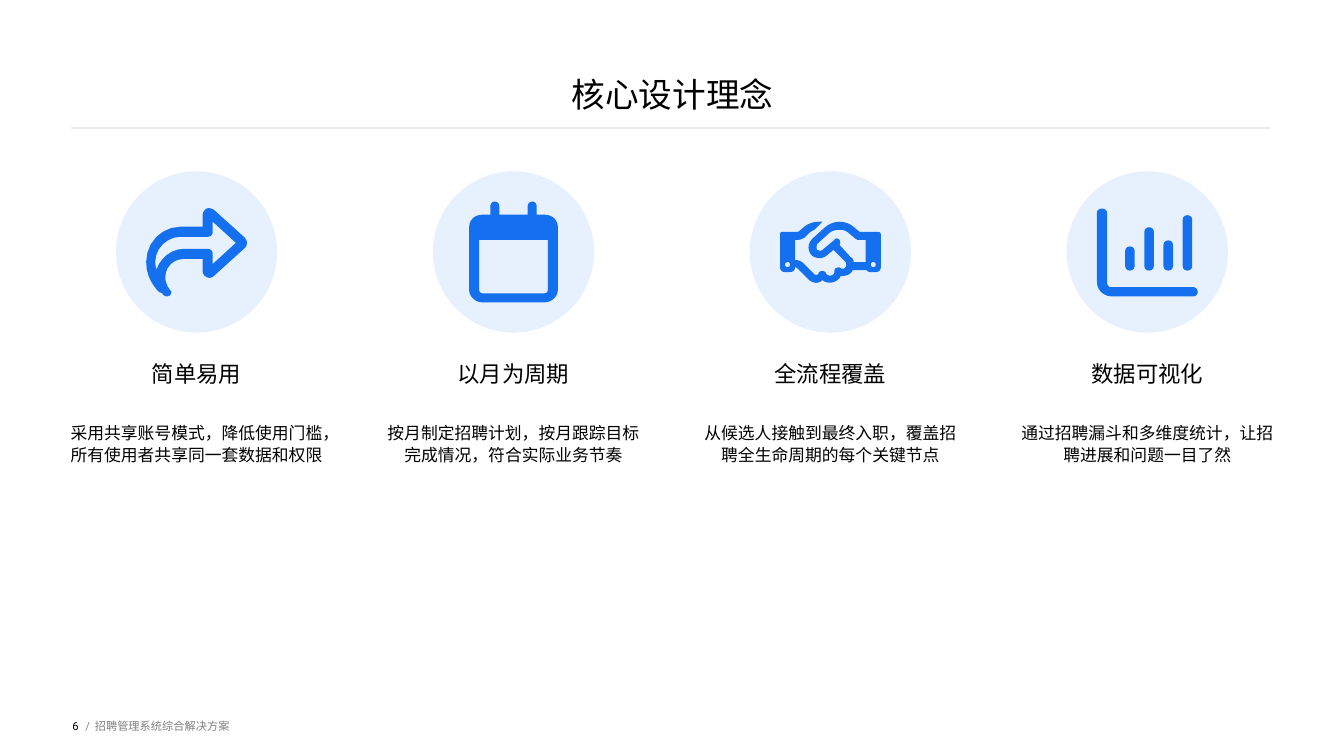
from dataclasses import dataclass

from lxml.etree import SubElement as Sub
from pptx import Presentation
from pptx.dml.color import RGBColor as Color
from pptx.enum.shapes import MSO_CONNECTOR as Link, MSO_SHAPE as Shape
from pptx.enum.text import MSO_ANCHOR as Anchor, PP_ALIGN as Align
from pptx.oxml.ns import qn
from pptx.util import Inches, Pt


@dataclass(frozen=True)
class Theme:
    """Colours, font and type sizes of the slide."""
    font: str = "Roboto"
    ink: str = "000000"
    grey: str = "808080"
    blue: str = "1570EF"
    rule: str = "EAECF0"
    title: int = 24
    head: int = 16
    body: int = 12
    foot: int = 8


BEND = """
M 56 47 L 37 47 C 25 47 14 56 10 68 C 10 66 9 63 9 60 C 9 46 21 35 34 35
L 61 35 C 64 35 66 33 66 30 L 66 20 L 89 41 L 66 62 L 66 52 C 66 49 64 47 61 47
"""
ARROW = """
M 56 57 L 56 69 C 56 72 58 74 60 75 C 62 76 65 76 67 74 L 98 46
C 99 45 100 43 100 41 C 100 39 99 38 98 36 L 67 8 C 65 7 62 6 60 7
C 58 8 56 11 56 13 L 56 25 L 34 25 C 15 25 0 41 0 60 C 0 75 8 85 13 90
C 14 90 15 91 16 91 C 16 92 17 92 17 93 C 18 93 19 94 20 94 L 21 94
C 23 94 25 92 25 90 C 25 89 24 88 23 87 C 23 86 22 86 22 85
C 21 84 21 84 21 83 C 20 81 19 79 19 75 C 19 65 27 57 37 57
"""
MONTH = """
M 36 5 C 36 2 34 0 31 0 C 29 0 27 2 27 5 L 27 13 L 19 13 C 12 13 6 18 6 25
L 6 88 C 6 94 12 100 19 100 L 81 100 C 88 100 94 94 94 88 L 94 25
C 94 18 88 13 81 13 L 73 13 L 73 5 C 73 2 71 0 69 0 C 66 0 64 2 64 5
L 64 13 L 36 13
M 16 38 L 84 38 L 84 88 C 84 89 83 91 81 91 L 19 91 C 17 91 16 89 16 88
"""
GRIP = """
M 42 20 L 34 28 C 32 29 30 30 28 32 L 24 36 C 22 37 20 38 18 38 L 15 38 L 15 58
C 18 58 21 59 23 61 L 34 72 C 35 73 37 73 38 72 L 38 71 C 39 70 40 69 41 69
C 42 69 44 69 45 70 L 46 72 C 48 74 51 74 53 72 C 54 71 54 70 54 69
C 54 67 55 66 56 66 C 57 65 59 65 60 66 C 62 67 64 67 65 65
C 66 64 66 62 65 60 L 53 48 L 47 53 C 43 57 37 57 32 54 C 27 49 27 42 32 37
L 43 27 C 47 23 53 20 59 20 C 64 20 70 22 74 26 L 79 30 L 97 30
"""
CUFFS = """
C 99 30 100 31 100 33 L 100 65 C 100 68 98 70 95 70 L 90 70 C 88 70 86 69 86 68
L 72 68 C 72 69 71 70 70 71 C 68 73 64 74 60 74 C 60 75 59 76 58 77
C 54 81 47 82 42 78 C 38 82 33 81 29 78 L 18 67 C 17 66 16 65 15 65
C 15 68 13 70 10 70 L 5 70 C 2 70 0 68 0 65 L 0 33 C 0 31 1 30 2 30 L 18 30
L 23 26 C 27 22 33 20 39 20
"""
PALM = """
M 85 60 L 85 38 L 77 38 C 76 38 76 37 75 37 L 69 32 C 66 29 63 28 59 28
C 55 28 51 29 48 32 L 37 42 C 36 44 36 47 37 48 C 39 49 41 49 42 48 L 54 38
C 55 36 57 36 59 38 C 60 39 60 42 59 43 L 70 55 C 72 56 73 58 73 60
M 10 63 C 10 61 9 60 7.5 60 C 6 60 5 61 5 63 C 5 64 6 65 7.5 65 C 9 65 10 64 10 63
M 92.5 65 C 94 65 95 64 95 63 C 95 61 94 60 92.5 60
C 91 60 90 61 90 63 C 90 64 91 65 92.5 65
"""
AXES = """
M 5 7 C 8 7 10 9 10 11 L 10 80 C 10 83 12 85 14 85 L 96 85 C 98 85 100 87 100 90
C 100 92 98 94 96 94 L 14 94 C 7 94 0 88 0 80 L 0 11 C 0 9 2 7 5 7
"""


def bar(x, top, end=69, wide=9.5):
    """Return the outline of an upright bar with round ends."""
    r, b = x + wide, end - 5
    return (f" M {x} {top + 5} C {x} {top - 1} {r} {top - 1} {r} {top + 5}"
            f" L {r} {b} C {r} {end + 1} {x} {end + 1} {x} {b}")


def trace(art, steps=6):
    """Turn an outline into lists of points, one for each contour."""
    loops, words = [], iter(art.split())
    for word in words:
        pts = [(float(next(words)), float(next(words)))
               for _ in range(3 if word == "C" else 1)]
        if word == "M":
            loops.append(pts)
        elif word == "L":
            loops[-1] += pts
        else:
            curve = [loops[-1][-1], *pts]
            for n in range(1, steps + 1):
                t = n / steps
                u = 1 - t
                parts = (u ** 3, 3 * u * u * t, 3 * u * t * t, t ** 3)
                loops[-1].append(tuple(
                    sum(k * p[i] for k, p in zip(parts, curve)) for i in (0, 1)))
    return loops


class Page:
    """Draw styled elements on one slide."""

    def __init__(self, slide, theme):
        """Keep the slide and its theme."""
        self.shapes, self.theme = slide.shapes, theme

    def text(self, words, x, y, w, h, size, color=None, align=Align.LEFT,
             anchor=Anchor.TOP, space=None):
        """Add a text box without margins."""
        frame = self.shapes.add_textbox(*map(Inches, (x, y, w, h))).text_frame
        frame.word_wrap = True
        frame.margin_left = frame.margin_right = 0
        frame.margin_top = frame.margin_bottom = 0
        frame.vertical_anchor = anchor
        para = frame.paragraphs[0]
        para.alignment, para.line_spacing = align, space
        run = para.add_run()
        run.text = words
        run.font.name, run.font.size = self.theme.font, Pt(size)
        run.font.color.rgb = Color.from_string(color or self.theme.ink)

    def paint(self, shape):
        """Fill a shape with blue and drop its line and shadow."""
        shape.shadow.inherit = False
        shape.fill.solid()
        shape.fill.fore_color.rgb = Color.from_string(self.theme.blue)
        shape.line.fill.background()

    def disc(self, x, y, size, alpha):
        """Add a see-through circle."""
        disc = self.shapes.add_shape(Shape.OVAL, *map(Inches, (x, y, size, size)))
        self.paint(disc)
        tint = next(disc.element.spPr.iter(qn("a:srgbClr")))
        Sub(tint, qn("a:alpha"), val=str(alpha * 1000))

    def icon(self, art, x, y):
        """Add an icon drawn on a grid of hundredths of an inch."""
        first, *rest = [[(Inches(a / 100), Inches(b / 100)) for a, b in loop]
                        for loop in trace(art)]
        pen = self.shapes.build_freeform(*first[0])
        pen.add_line_segments(first[1:])
        for loop in rest:
            pen.move_to(*loop[0])
            pen.add_line_segments(loop[1:])
        self.paint(pen.convert_to_shape(Inches(x), Inches(y)))

    def rule(self, x, y, end, width):
        """Add a level line."""
        line = self.shapes.add_connector(Link.STRAIGHT, *map(Inches, (x, y, end, y)))
        line.line.color.rgb = Color.from_string(self.theme.rule)
        line.line.width = Pt(width)
        Sub(line.element.spPr, qn("a:effectLst"))


BARS = [bar(28 + 19 * i, top) for i, top in enumerate((44, 25, 38, 13))]
CARDS = (
    ((BEND, ARROW), "简单易用", "采用共享账号模式，降低使用门槛，所有使用者共享同一套数据和权限"),
    ((MONTH,), "以月为周期", "按月制定招聘计划，按月跟踪目标完成情况，符合实际业务节奏"),
    ((GRIP, CUFFS, PALM), "全流程覆盖", "从候选人接触到最终入职，覆盖招聘全生命周期的每个关键节点"),
    ((AXES, *BARS), "数据可视化", "通过招聘漏斗和多维度统计，让招聘进展和问题一目了然"),
)


def main():
    """Build the slide and save it."""
    deck = Presentation()
    deck.slide_width, deck.slide_height = Inches(13.33), Inches(7.5)
    look = Theme()
    page = Page(deck.slides.add_slide(deck.slide_layouts[6]), look)
    left, wide, right = 0.7, 2.5, 12.63
    step = (right - wide - left) / (len(CARDS) - 1)

    page.text("核心设计理念", left, 0, 11.94, 1.13, look.title,
              align=Align.CENTER, anchor=Anchor.BOTTOM)
    page.rule(left, 1.27, 12.6, 2)
    for i, (art, head, body) in enumerate(CARDS):
        x = left + i * step
        page.disc(x + 0.45, 1.7, 1.6, 10)
        page.icon(" ".join(art), x + 0.75, 2)
        page.text(head, x, 3.6, wide, 0.4, look.head, align=Align.CENTER, space=0.9)
        page.text(body, x, 4.17, wide, 2, look.body, align=Align.CENTER, space=1.1)

    foot = {"size": look.foot, "anchor": Anchor.MIDDLE}
    page.text("6", 0.47, 6.9, 0.31, 0.6, align=Align.RIGHT, **foot)
    page.text(" /", 0.82, 6.91, 0.12, 0.59, color=look.grey, **foot)
    page.text("招聘管理系统综合解决方案", 0.94, 6.9, 8.61, 0.6, color=look.grey, **foot)
    deck.save("out.pptx")


if __name__ == "__main__":
    main()
